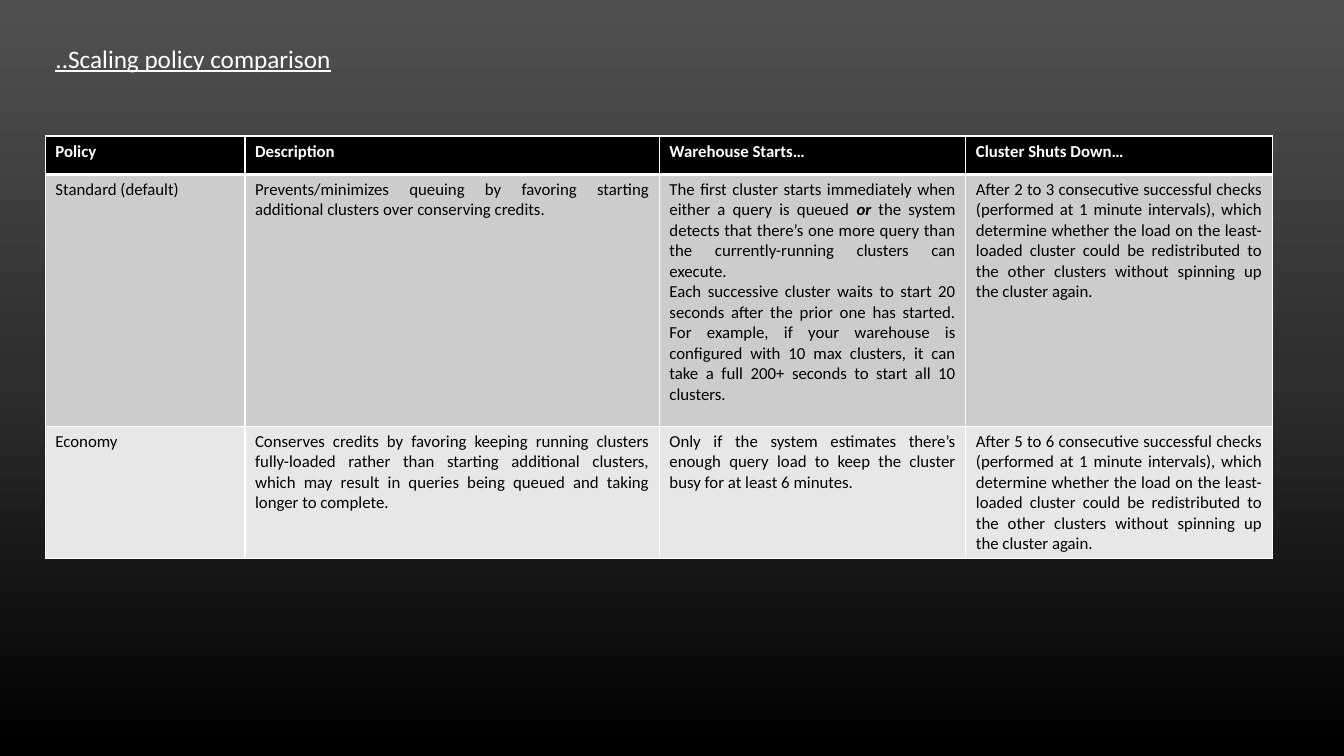
from copy import deepcopy
from dataclasses import dataclass

from pptx import Presentation
from pptx.dml.color import RGBColor
from pptx.enum import text
from pptx.oxml import parse_xml
from pptx.oxml import ns
from pptx.util import Inches, Pt

WHITE = RGBColor(0xFF, 0xFF, 0xFF)
BLACK = RGBColor(0x00, 0x00, 0x00)
MID_GREY = RGBColor(0xCC, 0xCC, 0xCC)
PALE_GREY = RGBColor(0xE7, 0xE7, 0xE7)
BACKDROP = [
    (0.0, RGBColor(0x51, 0x51, 0x51)),
    (0.5, RGBColor(0x2E, 0x2E, 0x2E)),
    (1.0, BLACK),
]
FONT = "Calibri"
COLUMN_WIDTHS = [1.98, 4.11, 3.04, 3.04]


@dataclass
class Span:
    wording: str
    strong: bool = False


@dataclass
class PolicyRow:
    height: float
    fill: RGBColor
    color: RGBColor
    cells: list[list[list[Span]]]  # cells, then paragraphs, then spans
    bold: bool = False
    bottom_line: float = 1


def plain(wording: str) -> list[list[Span]]:
    return [[Span(wording)]]


def shutdown(checks: str) -> list[list[Span]]:
    return plain(
        f"After {checks} consecutive successful checks (performed at 1 minute intervals), "
        "which determine whether the load on the least-loaded cluster could be "
        "redistributed to the other clusters without spinning up the cluster again."
    )


HEADINGS = ["Policy", "Description", "Warehouse Starts…", "Cluster Shuts Down…"]
STANDARD_START = [
    [
        Span("The first cluster starts immediately when either a query is queued "),
        Span("or", strong=True),
        Span(" the system detects that there’s one more query than the "
             "currently-running clusters can execute."),
    ],
    [
        Span("Each successive cluster waits to start 20 seconds after the prior one has "
             "started. For example, if your warehouse is configured with 10 max clusters, "
             "it can take a full 200+ seconds to start all 10 clusters."),
    ],
]
ROWS = [
    PolicyRow(0.38, BLACK, WHITE, [plain(h) for h in HEADINGS], bold=True, bottom_line=3),
    PolicyRow(2.5, MID_GREY, BLACK, [
        plain("Standard (default)"),
        plain("Prevents/minimizes queuing by favoring starting additional clusters "
              "over conserving credits."),
        STANDARD_START,
        shutdown("2 to 3"),
    ]),
    PolicyRow(1.31, PALE_GREY, BLACK, [
        plain("Economy"),
        plain("Conserves credits by favoring keeping running clusters fully-loaded rather "
              "than starting additional clusters, which may result in queries being queued "
              "and taking longer to complete."),
        plain("Only if the system estimates there’s enough query load to keep the cluster "
              "busy for at least 6 minutes."),
        shutdown("5 to 6"),
    ]),
]


def paint_background(page) -> None:
    fill = page.background.fill
    fill.gradient()
    fill.gradient_angle = 270
    stop_list = page.element.find(".//" + ns.qn("a:gsLst"))
    stop_list.append(deepcopy(stop_list[0]))
    for stop, (position, color) in zip(fill.gradient_stops, BACKDROP):
        stop.position = position
        stop.color.rgb = color


def add_title(page) -> None:
    box = page.shapes.title
    box.left, box.top = Inches(0.45), Inches(0.38)
    box.width, box.height = Inches(5.76), Inches(0.4)
    frame = box.text_frame
    frame.word_wrap = True
    frame.auto_size = text.MSO_AUTO_SIZE.SHAPE_TO_FIT_TEXT
    frame.vertical_anchor = text.MSO_ANCHOR.TOP
    para = frame.paragraphs[0]
    para.alignment = text.PP_ALIGN.LEFT
    span = para.add_run()
    span.text = "..Scaling policy comparison"
    span.font.name, span.font.size = FONT, Pt(18)
    span.font.underline = True
    span.font.color.rgb = WHITE


def add_borders(cell, top: float, bottom: float) -> None:
    properties = cell._tc.get_or_add_tcPr()
    widths = {"lnL": 1, "lnR": 1, "lnT": top, "lnB": bottom}
    for index, (side, width) in enumerate(widths.items()):
        properties.insert(index, parse_xml(
            f'<a:{side} {ns.nsdecls("a")} w="{Pt(width)}"><a:solidFill>'
            f'<a:srgbClr val="{WHITE}"/></a:solidFill></a:{side}>'
        ))


def write_cell(cell, paragraphs: list[list[Span]], row: PolicyRow) -> None:
    frame = cell.text_frame
    for index, spans in enumerate(paragraphs):
        para = frame.add_paragraph() if index else frame.paragraphs[0]
        para.alignment = text.PP_ALIGN.JUSTIFY
        for part in spans:
            span = para.add_run()
            span.text = part.wording
            span.font.name, span.font.size = FONT, Pt(12)
            span.font.bold = row.bold or part.strong
            span.font.italic = part.strong
            span.font.color.rgb = row.color


def add_policy_table(page) -> None:
    table = page.shapes.add_table(
        len(ROWS), len(COLUMN_WIDTHS), Inches(0.45), Inches(1.35),
        Inches(sum(COLUMN_WIDTHS)), Inches(sum(row.height for row in ROWS)),
    ).table
    for column, width in zip(table.columns, COLUMN_WIDTHS):
        column.width = Inches(width)
    line_above = 1
    for table_row, row in zip(table.rows, ROWS):
        table_row.height = Inches(row.height)
        for cell, paragraphs in zip(table_row.cells, row.cells):
            cell.fill.solid()
            cell.fill.fore_color.rgb = row.fill
            add_borders(cell, line_above, row.bottom_line)
            write_cell(cell, paragraphs, row)
        line_above = row.bottom_line


def main() -> None:
    deck = Presentation()
    deck.slide_width, deck.slide_height = Inches(13.33), Inches(7.5)
    page = deck.slides.add_slide(deck.slide_layouts.get_by_name("Title Only"))
    paint_background(page)
    add_title(page)
    add_policy_table(page)
    deck.save("out.pptx")


if __name__ == "__main__":
    main()
